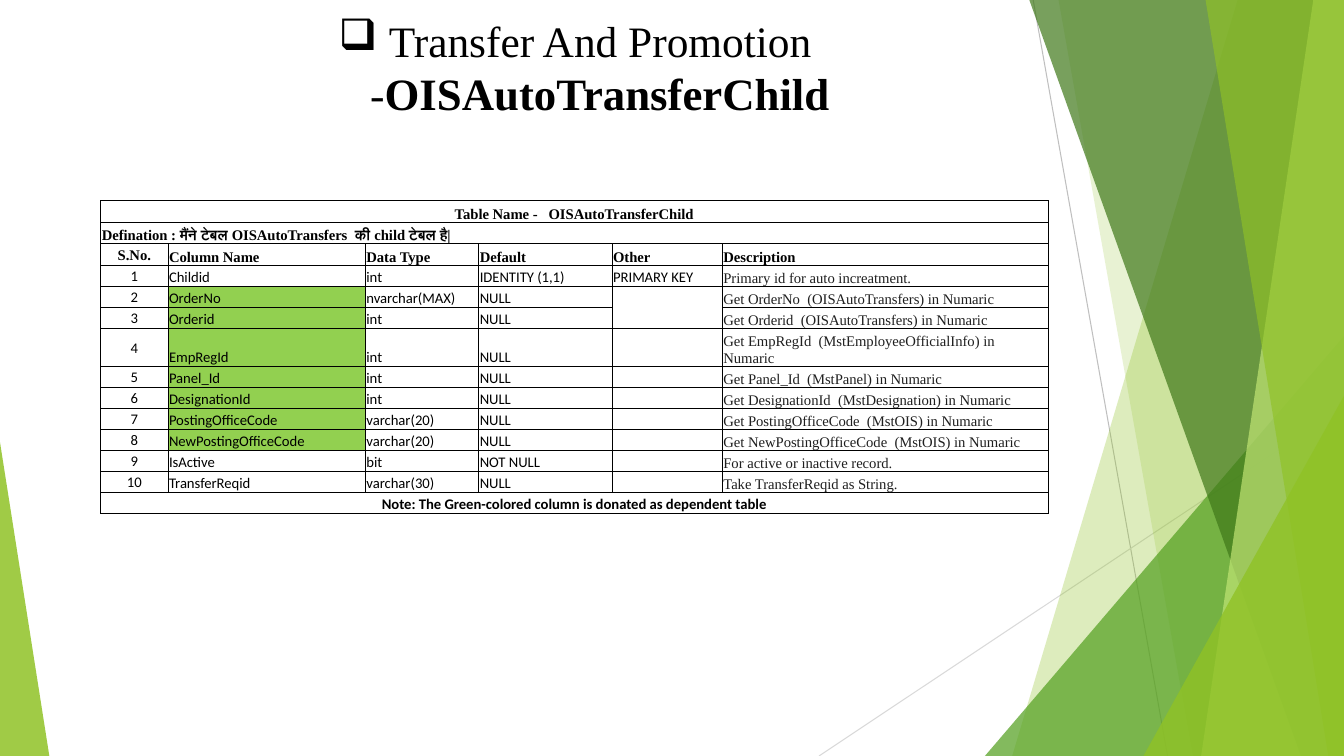
from lxml.etree import SubElement
from pptx import Presentation
from pptx.dml.color import RGBColor
from pptx.enum.shapes import MSO_CONNECTOR, MSO_SHAPE
from pptx.enum.text import MSO_ANCHOR, MSO_AUTO_SIZE, PP_ALIGN
from pptx.oxml.ns import qn
from pptx.oxml.xmlchemy import OxmlElement
from pptx.util import Pt

PX = 9525
SERIF, SANS = "Times New Roman", "Calibri"
COLORS = {
    "black": "000000", "text": "1F1F1F", "dependent": "92D050",
    "rule": "BFBFBF", "pale_rule": "D9D9D9", "lime": "90C226",
    "green": "54A021", "forest": "3F7819", "pale": "C0E474",
}
RULES = [("rule", 984, 0, 1112, 720), ("pale_rule", 1280, 387, 780, 720)]
BACK_PANELS = [("lime", 30, 1179, 964), ("lime", 20, 1008, 1136)]
FRONT_PANELS = [("forest", 70, 980, 1239), ("pale", 70, 1251, 1144), ("lime", 65, 1148, 1265)]

COLUMN_WIDTHS = [64, 188, 108, 127, 105, 310]
ROW_HEIGHTS = [21, 20, 21, 20, 20, 20, 36] + [20] * 7
TABLE_NAME = "Table Name -   OISAutoTransferChild"
DEFINITION = "Defination : मैंने टेबल OISAutoTransfers  की child टेबल है|"
NOTE = "Note: The Green-colored column is donated as dependent table"
HEADINGS = ["S.No.", "Column Name", "Data Type", "Default", "Other", "Description"]
FIELDS = [
    ("Childid", "int", "IDENTITY (1,1)", "PRIMARY KEY", "Primary id for auto increatment."),
    ("OrderNo", "nvarchar(MAX)", "NULL", "", "Get OrderNo  (OISAutoTransfers) in Numaric"),
    ("Orderid", "int", "NULL", "", "Get Orderid  (OISAutoTransfers) in Numaric"),
    ("EmpRegId", "int", "NULL", "", "Get EmpRegId  (MstEmployeeOfficialInfo) in Numaric"),
    ("Panel_Id", "int", "NULL", "", "Get Panel_Id  (MstPanel) in Numaric"),
    ("DesignationId", "int", "NULL", "", "Get DesignationId  (MstDesignation) in Numaric"),
    ("PostingOfficeCode", "varchar(20)", "NULL", "", "Get PostingOfficeCode  (MstOIS) in Numaric"),
    ("NewPostingOfficeCode", "varchar(20)", "NULL", "",
     "Get NewPostingOfficeCode  (MstOIS) in Numaric"),
    ("IsActive", "bit", "NOT NULL", "", "For active or inactive record."),
    ("TransferReqid", "varchar(30)", "NULL", "", "Take TransferReqid as String."),
]
FIRST_FIELD_ROW = 3
DEPENDENT_ROWS = range(4, 11)
OTHER_COLUMN = 4
OPEN_BORDERS = {(4, OTHER_COLUMN, "a:lnB"), (5, OTHER_COLUMN, "a:lnT")}


def color(name):
    return RGBColor.from_string(COLORS[name])


def add_run(paragraph, text, size, font, bold=False, color_name="black"):
    run = paragraph.add_run()
    run.text = text
    run.font.size = Pt(size)
    run.font.name = font
    run.font.bold = bold
    run.font.color.rgb = color(color_name)


def paint(shape, color_name, opacity):
    shape.shadow.inherit = False
    shape.line.fill.background()
    shape.fill.solid()
    shape.fill.fore_color.rgb = color(color_name)
    fill_color = shape.element.spPr.find(qn("a:solidFill"))[0]
    SubElement(fill_color, qn("a:alpha")).set("val", str(opacity * 1000))


def add_rule(slide, color_name, *ends):
    connector = slide.shapes.add_connector(MSO_CONNECTOR.STRAIGHT, *(end * PX for end in ends))
    connector.line.color.rgb = color(color_name)
    connector.line.width = Pt(0.75)
    SubElement(connector.element.spPr, qn("a:effectLst"))


def add_panels(slide, panels, left, top, right, bottom):
    for color_name, opacity, top_x, bottom_x in panels:
        builder = slide.shapes.build_freeform(left + top_x, top - 1, scale=PX)
        builder.add_line_segments([(right, top - 1), (right, bottom), (left + bottom_x, bottom)])
        paint(builder.convert_to_shape(), color_name, opacity)


def add_corner(slide, color_name, opacity, peak, left, bottom, width, height):
    triangle = slide.shapes.add_shape(
        MSO_SHAPE.ISOSCELES_TRIANGLE, left * PX, (bottom - height) * PX, width * PX, height * PX)
    triangle.adjustments[0] = peak
    paint(triangle, color_name, opacity)


def add_facets(slide, left, top, width, height):
    right, bottom = left + width, top + height
    for color_name, x1, y1, x2, y2 in RULES:
        add_rule(slide, color_name, left + x1, top + y1, left + x2, top + y2)
    add_panels(slide, BACK_PANELS, left, top, right, bottom)
    add_corner(slide, "green", 72, 1, right - 342, bottom, 342, 400)
    add_panels(slide, FRONT_PANELS, left, top, right, bottom)
    add_corner(slide, "lime", 80, 1, right - 191, bottom, 191, 343)
    add_corner(slide, "lime", 85, 0, left, bottom, 47, 299)


def fill_title(slide, left, top, width, height):
    title = slide.shapes.title
    title.left, title.top, title.width, title.height = (
        length * PX for length in (left, top, width, height))
    title.text_frame.word_wrap = True
    title.text_frame.auto_size = MSO_AUTO_SIZE.SHAPE_TO_FIT_TEXT
    paragraph = title.text_frame.paragraphs[0]
    properties = paragraph._p.get_or_add_pPr()
    properties.set("marL", str(48 * PX))
    properties.set("indent", str(-48 * PX))
    SubElement(properties, qn("a:buChar")).set("char", "❑")
    paragraph.alignment = PP_ALIGN.CENTER
    add_run(paragraph, "Transfer And Promotion -", 31, SERIF)
    add_run(paragraph, "OISAutoTransferChild", 32, SERIF, bold=True)


def add_borders(cell, row, column):
    properties = cell._tc.get_or_add_tcPr()
    for index, side in enumerate(("a:lnL", "a:lnR", "a:lnT", "a:lnB")):
        border = OxmlElement(side)
        border.set("w", str(Pt(0.5)))
        if (row, column, side) in OPEN_BORDERS:
            SubElement(border, qn("a:noFill"))
        else:
            fill = SubElement(border, qn("a:solidFill"))
            SubElement(fill, qn("a:srgbClr")).set("val", COLORS["black"])
        properties.insert(index, border)


def fill_cell(cell, text, row, column, last_row):
    cell.margin_left = cell.margin_right = cell.margin_top = PX
    cell.margin_bottom = 0
    is_field = FIRST_FIELD_ROW <= row < last_row
    is_number = column == 0 and 2 <= row < last_row
    cell.vertical_anchor = MSO_ANCHOR.MIDDLE if is_number else MSO_ANCHOR.BOTTOM
    if column == 1 and row in DEPENDENT_ROWS:
        cell.fill.solid()
        cell.fill.fore_color.rgb = color("dependent")
    else:
        cell.fill.background()
    add_borders(cell, row, column)
    paragraph = cell.text_frame.paragraphs[0]
    centered = is_number or row in (0, last_row)
    paragraph.alignment = PP_ALIGN.CENTER if centered else PP_ALIGN.LEFT
    if not text:
        SubElement(paragraph._p, qn("a:endParaRPr")).set("sz", "1050")
        return
    is_description = is_field and column == 5
    font = SERIF if row < FIRST_FIELD_ROW or is_description else SANS
    add_run(paragraph, text, 10.5, font, not is_field, "text" if is_description else "black")


def add_schema_table(slide, left, top):
    blanks = [""] * 5
    rows = [[TABLE_NAME, *blanks], [DEFINITION, *blanks], HEADINGS]
    rows += [[str(number), *field] for number, field in enumerate(FIELDS, 1)]
    rows.append([NOTE, *blanks])
    last_row = len(rows) - 1
    table = slide.shapes.add_table(
        len(rows), len(COLUMN_WIDTHS), left * PX, top * PX,
        sum(COLUMN_WIDTHS) * PX, sum(ROW_HEIGHTS) * PX).table
    table.first_row = table.horz_banding = False
    for table_column, width in zip(table.columns, COLUMN_WIDTHS):
        table_column.width = width * PX
    for table_row, height in zip(table.rows, ROW_HEIGHTS):
        table_row.height = height * PX
    for row, texts in enumerate(rows):
        for column, text in enumerate(texts):
            fill_cell(table.cell(row, column), text, row, column, last_row)
    for row in (0, 1, last_row):
        table.cell(row, 0).merge(table.cell(row, 5))


def main():
    presentation = Presentation()
    presentation.slide_width = 1280 * PX
    presentation.slide_height = 720 * PX
    slide = presentation.slides.add_slide(presentation.slide_layouts[5])
    add_facets(slide, 0, 0, 1280, 720)
    fill_title(slide, 150, 8, 795, 111)
    add_schema_table(slide, 96, 191)
    presentation.save("out.pptx")


if __name__ == "__main__":
    main()
